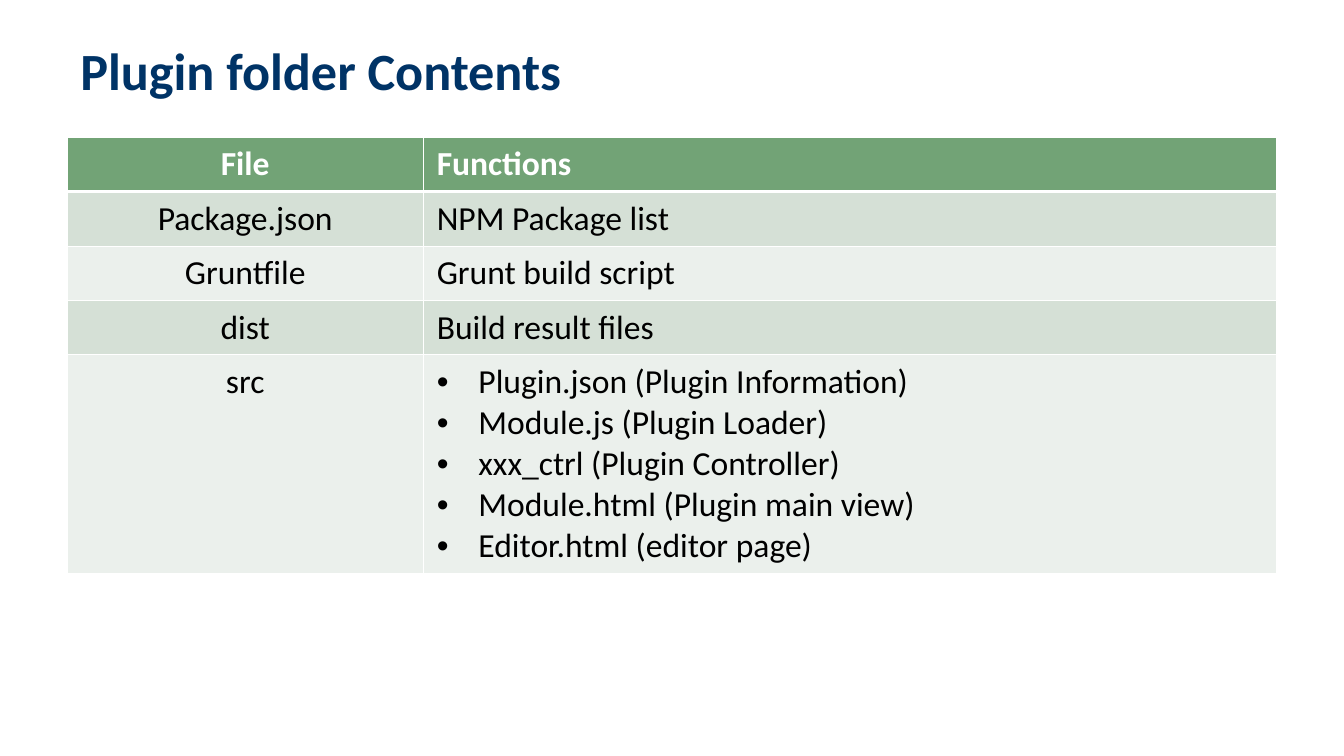
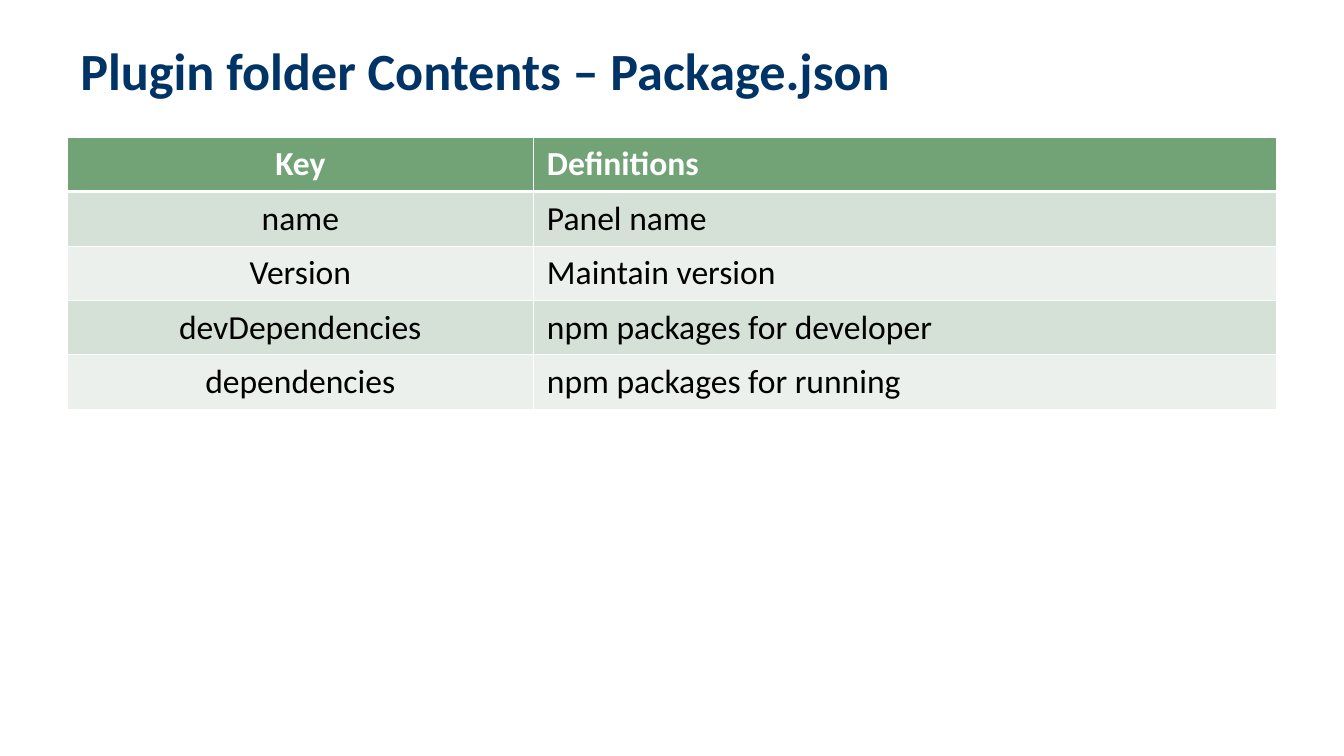
from dataclasses import dataclass

from lxml.etree import SubElement
from pptx import Presentation
from pptx.dml.color import RGBColor
from pptx.enum.text import MSO_ANCHOR as Anchor, PP_ALIGN as Align
from pptx.oxml.ns import qn
from pptx.util import Pt

EMU_PER_PX = 4572  # 200 px to the inch


def px(length):
    return length * EMU_PER_PX


@dataclass(frozen=True)
class Theme:
    font: str = "Calibri"
    title_size: int = 28
    table_size: int = 18
    title: str = "003366"
    header_fill: str = "72A376"
    header_text: str = "FFFFFF"
    body_text: str = "000000"
    bands: tuple = ("D5E0D6", "EBF0EC")
    rule: str = "FFFFFF"
    thin_rule: float = 0.45
    thick_rule: float = 1.47


class Deck:
    LEFT, WIDTH = 100, 1800
    TITLE_TOP, TITLE_HEIGHT = 20, 166
    TABLE_TOP, ROW_HEIGHT = 204, 81
    BULLET_INDENT = 62

    def __init__(self, theme):
        self.theme = theme
        self.presentation = Presentation()
        self.presentation.slide_width = px(2000)
        self.presentation.slide_height = px(1125)
        self.slide = None

    def add_slide(self, title):
        blank = self.presentation.slide_layouts[6]
        self.slide = self.presentation.slides.add_slide(blank)
        self.add_title(title)

    def style(self, paragraph, size, color, bold):
        font = paragraph.font
        font.name, font.size, font.bold = self.theme.font, Pt(size), bold
        font.color.rgb = RGBColor.from_string(color)

    def add_title(self, title):
        box = self.slide.shapes.add_textbox(
            px(self.LEFT), px(self.TITLE_TOP), px(self.WIDTH), px(self.TITLE_HEIGHT))
        frame = box.text_frame
        frame.word_wrap = True
        frame.vertical_anchor = Anchor.MIDDLE
        frame.text = title
        self.style(frame.paragraphs[0], self.theme.title_size, self.theme.title, True)

    def add_table(self, rows, key_width, row_heights=None):
        """Add a header row and banded rows; a list in a cell becomes bullets."""
        heights = row_heights or [self.ROW_HEIGHT] * len(rows)
        table = self.slide.shapes.add_table(
            len(rows), 2, px(self.LEFT), px(self.TABLE_TOP),
            px(self.WIDTH), px(sum(heights))).table
        table.columns[0].width = px(key_width)
        table.columns[1].width = px(self.WIDTH - key_width)
        for row, (entries, height) in enumerate(zip(rows, heights)):
            table.rows[row].height = px(height)
            for column, entry in enumerate(entries):
                self.fill_cell(table.cell(row, column), entry, row, column)

    def fill_cell(self, cell, entry, row, column):
        theme = self.theme
        is_header = row == 0
        self.add_borders(cell, row)
        cell.fill.solid()
        cell.fill.fore_color.rgb = RGBColor.from_string(
            theme.header_fill if is_header else theme.bands[(row - 1) % 2])
        bulleted = isinstance(entry, list)
        cell.text_frame.text = "\n".join(entry) if bulleted else entry
        for paragraph in cell.text_frame.paragraphs:
            paragraph.alignment = Align.LEFT if column else Align.CENTER
            self.style(paragraph, theme.table_size,
                       theme.header_text if is_header else theme.body_text, is_header)
            if bulleted:
                self.add_bullet(paragraph)

    def add_borders(self, cell, row):
        """Rule all sides, with a thick rule between header and body."""
        thick_side = {0: "lnB", 1: "lnT"}.get(row)
        properties = cell._tc.get_or_add_tcPr()
        for side in ("lnL", "lnR", "lnT", "lnB"):
            width = self.theme.thick_rule if side == thick_side else self.theme.thin_rule
            line = SubElement(properties, qn(f"a:{side}"), w=str(Pt(width)))
            fill = SubElement(line, qn("a:solidFill"))
            SubElement(fill, qn("a:srgbClr"), val=self.theme.rule)

    def add_bullet(self, paragraph):
        properties = paragraph._p.get_or_add_pPr()
        properties.set("marL", str(px(self.BULLET_INDENT)))
        properties.set("indent", str(-px(self.BULLET_INDENT)))
        font = SubElement(properties, qn("a:buFont"), typeface="Arial")
        bullet = SubElement(properties, qn("a:buChar"), char="•")
        properties.insert(0, font)
        properties.insert(1, bullet)


def main():
    deck = Deck(Theme())

    deck.add_slide("Plugin folder Contents")
    source_files = [
        "Plugin.json (Plugin Information)",
        "Module.js (Plugin Loader)",
        "xxx_ctrl (Plugin Controller)",
        "Module.html (Plugin main view)",
        "Editor.html (editor page)",
    ]
    folder_contents = [
        ("File", "Functions"),
        ("Package.json", "NPM Package list"),
        ("Gruntfile", "Grunt build script"),
        ("dist", "Build result files"),
        ("src", source_files),
    ]
    deck.add_table(folder_contents, key_width=530,
                   row_heights=[Deck.ROW_HEIGHT] * 4 + [326])

    deck.add_slide("Plugin folder Contents – Package.json")
    package_keys = [
        ("Key", "Definitions"),
        ("name", "Panel name"),
        ("Version", "Maintain version"),
        ("devDependencies", "npm packages for developer"),
        ("dependencies", "npm packages for running"),
    ]
    deck.add_table(package_keys, key_width=694)

    deck.presentation.save("out.pptx")


if __name__ == "__main__":
    main()
